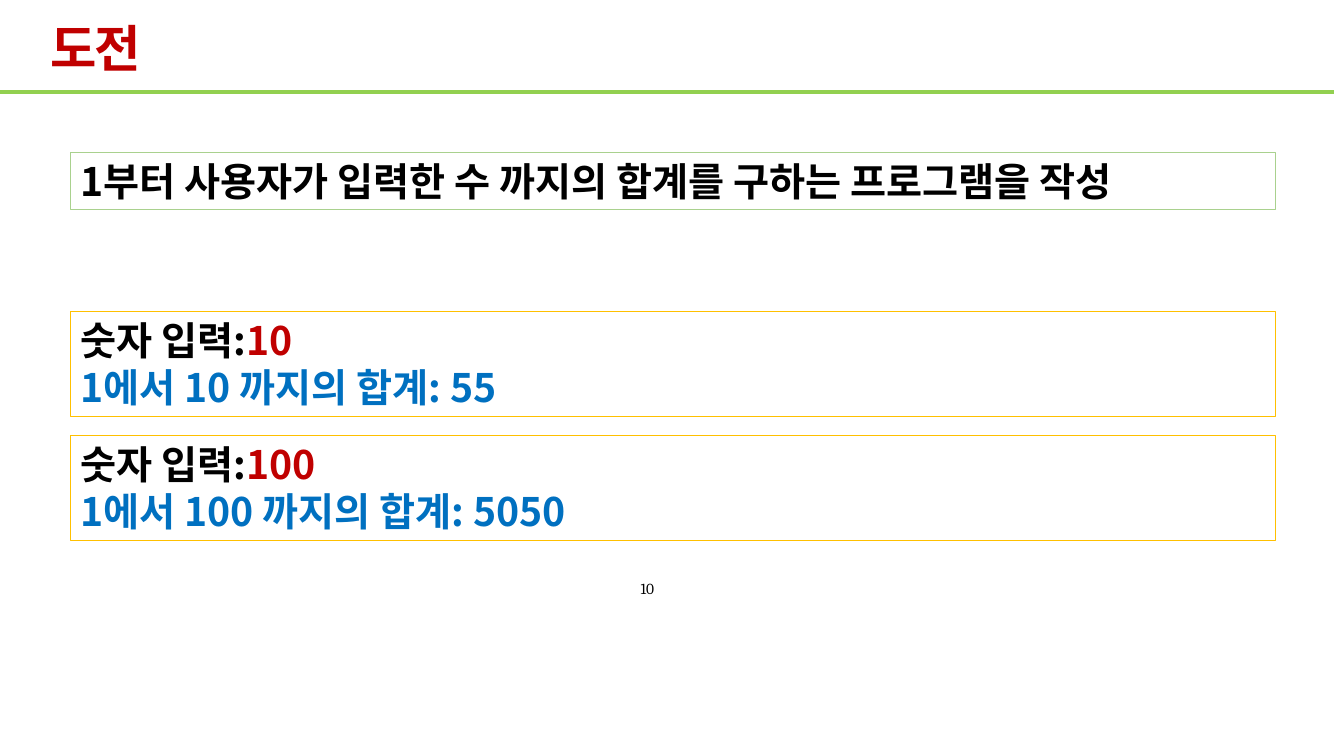
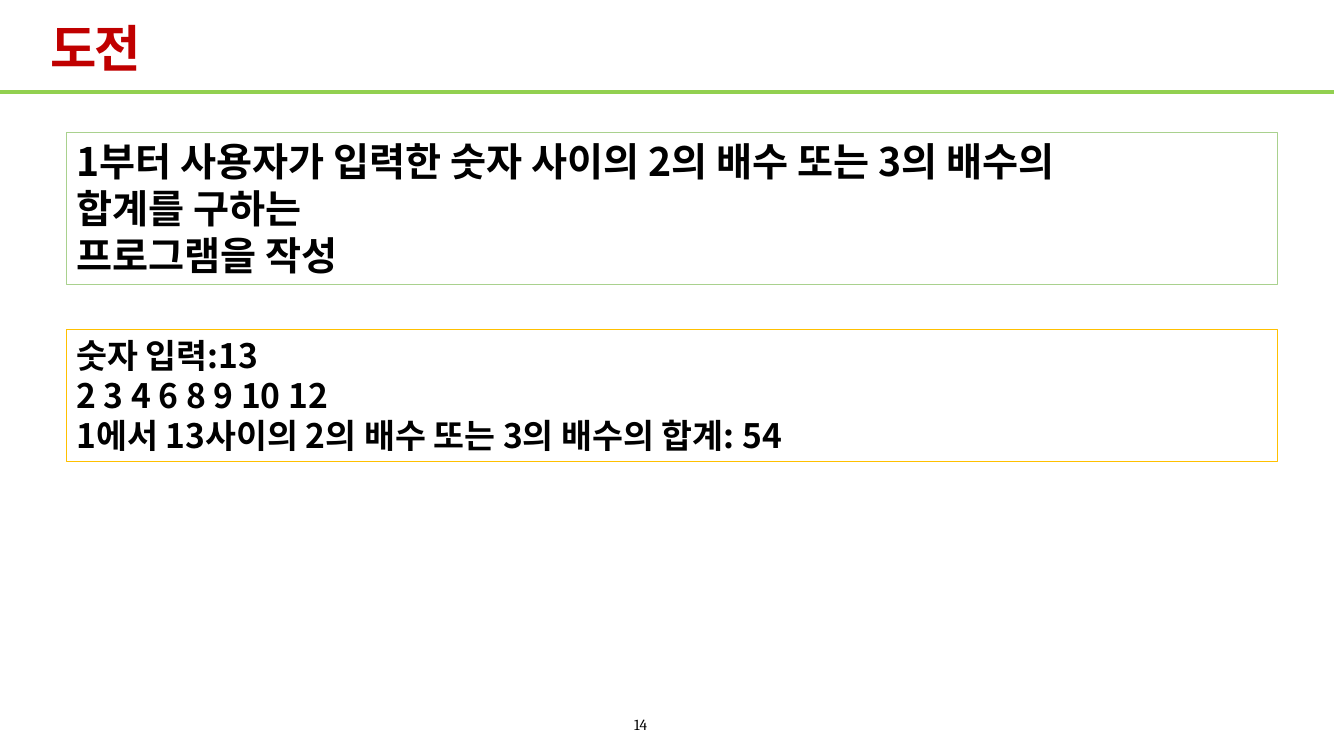
from lxml.etree import SubElement
from pptx import Presentation
from pptx.dml.color import RGBColor
from pptx.enum.shapes import MSO_CONNECTOR
from pptx.enum.text import MSO_ANCHOR, MSO_AUTO_SIZE, PP_ALIGN
from pptx.oxml.ns import qn
from pptx.util import Inches, Pt

KOREAN_FONT = "Noto Sans CJK KR"
NUMBER_FONT = "Cambria"
BLACK, RED, BLUE = "000000", "C00000", "0070C0"
RULE_GREEN, TASK_GREEN, SAMPLE_GOLD = "92D050", "A9D18E", "FFC000"


def color(value):
    """Turn a hex string into a colour."""
    return RGBColor.from_string(value)


def style_font(font, name, size, bold=False, tint=BLACK):
    """Set a font's Latin and East Asian face, size, weight and colour."""
    font.name, font.size, font.bold = name, Pt(size), bold
    font.color.rgb = color(tint)
    SubElement(font._element, qn("a:ea"), typeface=name)


def add_rule(page):
    """Draw the green line under the title."""
    rule = page.shapes.add_connector(
        MSO_CONNECTOR.STRAIGHT, 0, Inches(0.91), Inches(13.23), Inches(0.91))
    rule.line.color.rgb = color(RULE_GREEN)
    rule.line.width = Pt(3)
    SubElement(rule._element.spPr, qn("a:effectLst"))


def set_title(page, text):
    """Place and format the title placeholder."""
    title = page.shapes.title
    title.left, title.top = Inches(0.4), Inches(0.21)
    title.width, title.height = Inches(7.43), Inches(0.59)
    frame = title.text_frame
    frame.text = text
    frame.vertical_anchor = MSO_ANCHOR.MIDDLE
    para = frame.paragraphs[0]
    para.alignment = PP_ALIGN.LEFT
    para.line_spacing = 0.9
    style_font(para.font, KOREAN_FONT, 36, True, RED)
    para.runs[0].font._element.set("spc", "-150")


def add_number(page, text, left, top, width, height):
    """Add the centred page number."""
    box = page.shapes.add_textbox(
        Inches(left), Inches(top), Inches(width), Inches(height))
    frame = box.text_frame
    frame.word_wrap = True
    frame.vertical_anchor = MSO_ANCHOR.MIDDLE
    para = frame.paragraphs[0]
    para.text = text
    para.alignment = PP_ALIGN.CENTER
    style_font(para.font, NUMBER_FONT, 11)


def add_panel(page, area, outline, lines, size=28):
    """Add an outlined box whose lines are lists of (text, colour) spans."""
    box = page.shapes.add_textbox(*map(Inches, area))
    box.line.color.rgb = color(outline)
    box.line.width = Pt(0.75)
    frame = box.text_frame
    frame.word_wrap = True
    frame.auto_size = MSO_AUTO_SIZE.SHAPE_TO_FIT_TEXT
    for index, spans in enumerate(lines):
        para = frame.add_paragraph() if index else frame.paragraphs[0]
        style_font(para.font, KOREAN_FONT, size, True)
        for text, tint in spans:
            span = para.add_run()
            span.text = text
            span.font.color.rgb = color(tint)


def plain(*texts):
    """Make one black span per line."""
    return [[(text, BLACK)] for text in texts]


def add_page(deck):
    """Add a page with the shared title and rule."""
    page = deck.slides.add_slide(deck.slide_layouts[5])
    add_rule(page)
    set_title(page, "도전")
    return page


def add_sum_page(deck):
    """Build the task on summing up to a number."""
    page = add_page(deck)
    add_number(page, "10", 6.08, 5.68, 0.68, 0.31)
    add_panel(page, (0.7, 1.51, 11.95, 0.57), TASK_GREEN,
              plain("1부터 사용자가 입력한 수 까지의 합계를 구하는 프로그램을 작성"))
    for index, limit in enumerate((10, 100)):
        total = sum(range(limit + 1))
        add_panel(page, (0.7, 3.09 + index * 1.23, 11.95, 1.04), SAMPLE_GOLD, [
            [("숫자 입력:", BLACK), (str(limit), RED)],
            [(f"1에서 {limit} 까지의 합계: {total}", BLUE)],
        ])


def add_multiples_page(deck):
    """Build the task on summing multiples of 2 or 3."""
    page = add_page(deck)
    add_number(page, "14", 6.08, 7.01, 0.55, 0.36)
    add_panel(page, (0.66, 1.31, 12.01, 1.51), TASK_GREEN, plain(
        "1부터 사용자가 입력한 숫자 사이의 2의 배수 또는 3의 배수의",
        "합계를 구하는",
        "프로그램을 작성"))
    add_panel(page, (0.66, 3.27, 12.01, 1.31), SAMPLE_GOLD, plain(
        "숫자 입력:13",
        "2 3 4 6 8 9 10 12",
        "1에서 13사이의 2의 배수 또는 3의 배수의 합계: 54"), 24)


def main():
    """Build and save the deck."""
    deck = Presentation()
    deck.slide_width, deck.slide_height = Inches(13.33), Inches(7.5)
    add_sum_page(deck)
    add_multiples_page(deck)
    deck.save("out.pptx")


if __name__ == "__main__":
    main()
